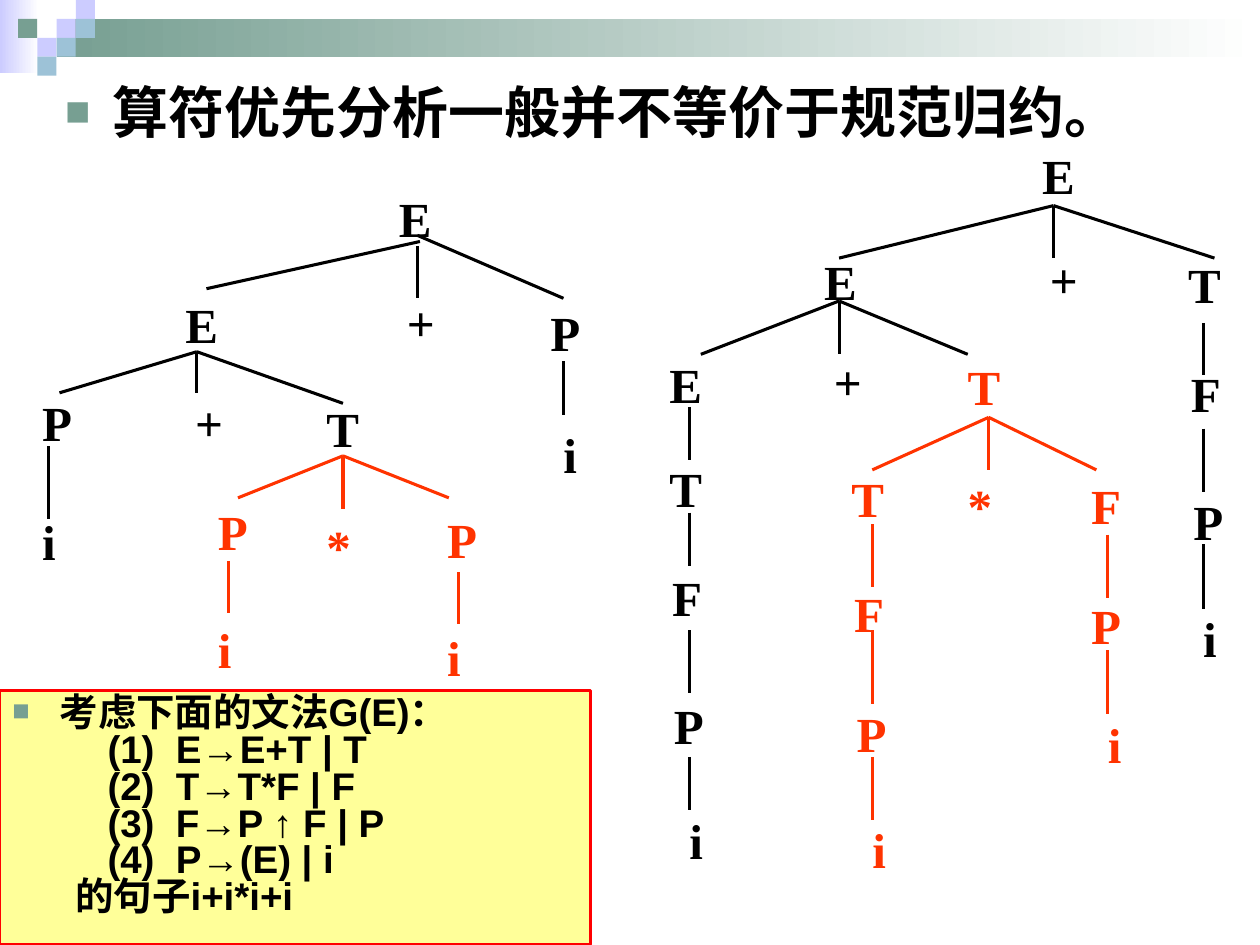
from lxml.etree import SubElement
from pptx import Presentation
from pptx.dml.color import RGBColor
from pptx.enum.shapes import MSO_CONNECTOR as Connector, MSO_SHAPE as Shape
from pptx.enum.text import MSO_ANCHOR as Anchor, MSO_AUTO_SIZE as AutoSize, PP_ALIGN as Align
from pptx.oxml.ns import qn
from pptx.util import Pt

BLACK, RED, GREEN, LILAC, BLUE, WHITE = "000000", "FF3300", "779F92", "CCCCFF", "9DC2D7", "FFFFFF"
STATEMENT = "算符优先分析一般并不等价于规范归约。"
GRAMMAR_HEAD = "考虑下面的文法G(E)："
RULES = ["E→E+T | T", "T→T*F | F", "F→P ↑ F | P", "P→(E) | i"]
SENTENCE = "的句子i+i*i+i"

BANDS = [((0, 0, 22.3, 41.8), LILAC), ((32.4, 10.8, 687.6, 21.6), GREEN)]
TILE = 10.8
TILES = [(2, 1, LILAC), (3, 0, LILAC), (3, 1, BLUE), (1, 2, LILAC),
         (0, 1, GREEN), (2, 2, BLUE), (1, 3, BLUE)]

GLYPH_WIDTHS = {"E": 18.7, "T": 18.7, "P": 17.1, "F": 17.1, "+": 16, "*": 14, "i": 7.8}
TREES = [
    {
        "labels": {
            BLACK: [("E", 228, 108), ("E", 106, 168.5), ("+", 232.5, 167), ("P", 314.5, 173),
                    ("i", 322, 242.5), ("P", 24, 224.5), ("+", 111.5, 224.5),
                    ("T", 186.5, 227.5), ("i", 24, 292.5)],
            RED: [("P", 124.5, 286.5), ("*", 186.5, 295), ("P", 255.5, 291),
                  ("i", 124.5, 354), ("i", 255.5, 358.5)],
        },
        "fans": [
            (BLACK, (240, 138), [(118, 165)]),
            (BLACK, (238.5, 140.5), [(238.5, 170.5)]),
            (BLACK, (238.5, 134.5), [(322, 170.5)]),
            (BLACK, (112.5, 201), [(34, 224.5), (112.5, 224.5), (196, 230.5)]),
            (RED, (196, 260.5), [(136, 284.5), (196, 291), (256.5, 284.5)]),
        ],
        "stems": [
            (BLACK, 322, [(206.5, 237)]),
            (BLACK, 28, [(255, 296.5)]),
            (RED, 130.5, [(320.5, 350.5)]),
            (RED, 262, [(327, 356.5)]),
        ],
    },
    {
        "labels": {
            BLACK: [("E", 595.5, 83), ("E", 471, 144), ("+", 600, 142.5), ("T", 679, 145.5),
                    ("F", 680.5, 208), ("P", 682, 281), ("i", 687.5, 348),
                    ("E", 382.5, 202.5), ("+", 476.5, 201), ("T", 382.5, 262),
                    ("F", 384, 324.5), ("P", 385, 397.5), ("i", 394, 463)],
            RED: [("T", 553, 204), ("T", 486.5, 268), ("*", 553, 272), ("F", 623.5, 272),
                  ("F", 488, 333.5), ("P", 489.5, 402), ("i", 498.5, 468.5),
                  ("P", 623.5, 340.5), ("i", 633, 408.5)],
        },
        "fans": [
            (BLACK, (602, 117.5), [(479.5, 147.5), (602, 147.5), (694, 147.5)]),
            (BLACK, (479.5, 172), [(400.5, 202.5), (479.5, 202.5), (553, 202.5)]),
            (RED, (565, 238.5), [(498.5, 268.5), (565, 268.5), (626.5, 268.5)]),
        ],
        "stems": [
            (BLACK, 394, [(232.5, 263), (293, 323.5), (360, 396), (432.5, 463)]),
            (RED, 498.5, [(299.5, 335.5), (360, 402.5), (432.5, 468.5)]),
            (RED, 633, [(305.5, 341.5), (371.5, 408)]),
            (BLACK, 687.5, [(184.5, 214.5), (245, 281), (311, 348)]),
        ],
    },
]


def color(value):
    return RGBColor.from_string(value)


def apply(target, values):
    for name, value in values.items():
        setattr(target, name, value)


def add_text(paragraph, text, size, font="Arial", fill=BLACK):
    run = paragraph.add_run()
    run.text = text
    apply(run.font, {"name": font, "size": Pt(size), "bold": True})
    run.font.color.rgb = color(fill)


def indent(paragraph, left, first, bullet=False):
    properties = paragraph._p.get_or_add_pPr()
    properties.set("marL", str(Pt(left)))
    properties.set("indent", str(Pt(first)))
    if bullet:
        SubElement(SubElement(properties, qn("a:buClr")), qn("a:srgbClr"), val=GREEN)
        SubElement(properties, qn("a:buSzPct"), val="75000")
        SubElement(properties, qn("a:buFont"), typeface="Arial")
        SubElement(properties, qn("a:buChar"), char="■")
    else:
        SubElement(properties, qn("a:buNone"))


def add_rectangle(shapes, box, fill, fade=False):
    shape = shapes.add_shape(Shape.RECTANGLE, *map(Pt, box))
    shape.shadow.inherit = False
    shape.line.fill.background()
    if fade:
        shape.fill.gradient()
        shape.fill.gradient_angle = 0
        for stop, value in zip(shape.fill.gradient_stops, (fill, WHITE)):
            stop.color.rgb = color(value)
    else:
        shape.fill.solid()
        shape.fill.fore_color.rgb = color(fill)
    return shape


def add_line(shapes, start, end, stroke):
    line = shapes.add_connector(Connector.STRAIGHT, *map(Pt, (*start, *end)))
    line.line.color.rgb = color(stroke)
    line.line.width = Pt(1.75)
    SubElement(line._element.spPr, qn("a:effectLst"))


def add_symbol(shapes, text, left, top, fill):
    box = shapes.add_textbox(Pt(left), Pt(top), Pt(GLYPH_WIDTHS[text]), Pt(33.8))
    frame = box.text_frame
    apply(frame, {"margin_left": 0, "margin_right": 0, "margin_top": 0, "margin_bottom": 0,
                  "word_wrap": False, "auto_size": AutoSize.SHAPE_TO_FIT_TEXT})
    add_text(frame.paragraphs[0], text, 28, "Times New Roman", fill)


def add_tree(slide, tree):
    shapes = slide.shapes.add_group_shape().shapes
    for fill, symbols in tree["labels"].items():
        for text, left, top in symbols:
            add_symbol(shapes, text, left, top, fill)
    for stroke, parent, children in tree["fans"]:
        for child in children:
            add_line(shapes, parent, child, stroke)
    for stroke, x, spans in tree["stems"]:
        for top, bottom in spans:
            add_line(shapes, (x, top), (x, bottom), stroke)


def add_grammar(slide):
    shape = add_rectangle(slide.shapes, (0, 394.5, 337.5, 145.5), "FFFF99")
    shape.line.color.rgb = color("FF0000")
    shape.line.width = Pt(1.75)
    frame = shape.text_frame
    apply(frame, {"vertical_anchor": Anchor.TOP, "word_wrap": True})
    lines = [(GRAMMAR_HEAD, 27, -27, True)]
    lines += [(f"({number})\t{rule}", 93.4, -39, False) for number, rule in enumerate(RULES, 1)]
    lines.append((SENTENCE, 36, 0, False))
    for index, (text, left, first, bullet) in enumerate(lines):
        paragraph = frame.add_paragraph() if index else frame.paragraphs[0]
        indent(paragraph, left, first, bullet)
        apply(paragraph, {"alignment": Align.LEFT, "line_spacing": 0.8, "space_before": Pt(0)})
        add_text(paragraph, text, 22)


def add_statement(slide):
    title = slide.shapes.title
    title._element.getparent().remove(title._element)
    body = slide.placeholders[1]
    apply(body, {"left": Pt(30), "top": Pt(40.5), "width": Pt(653), "height": Pt(54)})
    apply(body.text_frame, {"auto_size": AutoSize.NONE, "vertical_anchor": Anchor.TOP})
    paragraph = body.text_frame.paragraphs[0]
    indent(paragraph, 27, -27, True)
    paragraph.space_before = Pt(0)
    add_text(paragraph, STATEMENT, 32)


def main():
    presentation = Presentation()
    apply(presentation, {"slide_width": Pt(720), "slide_height": Pt(540)})
    slide = presentation.slides.add_slide(presentation.slide_layouts[1])
    add_statement(slide)
    for box, fill in BANDS:
        add_rectangle(slide.shapes, box, fill, fade=True)
    for column, row, fill in TILES:
        add_rectangle(slide.shapes, (10.4 + 11 * column, TILE * row, TILE, TILE), fill)
    for tree in TREES:
        add_tree(slide, tree)
    add_grammar(slide)
    presentation.save("out.pptx")


if __name__ == "__main__":
    main()
